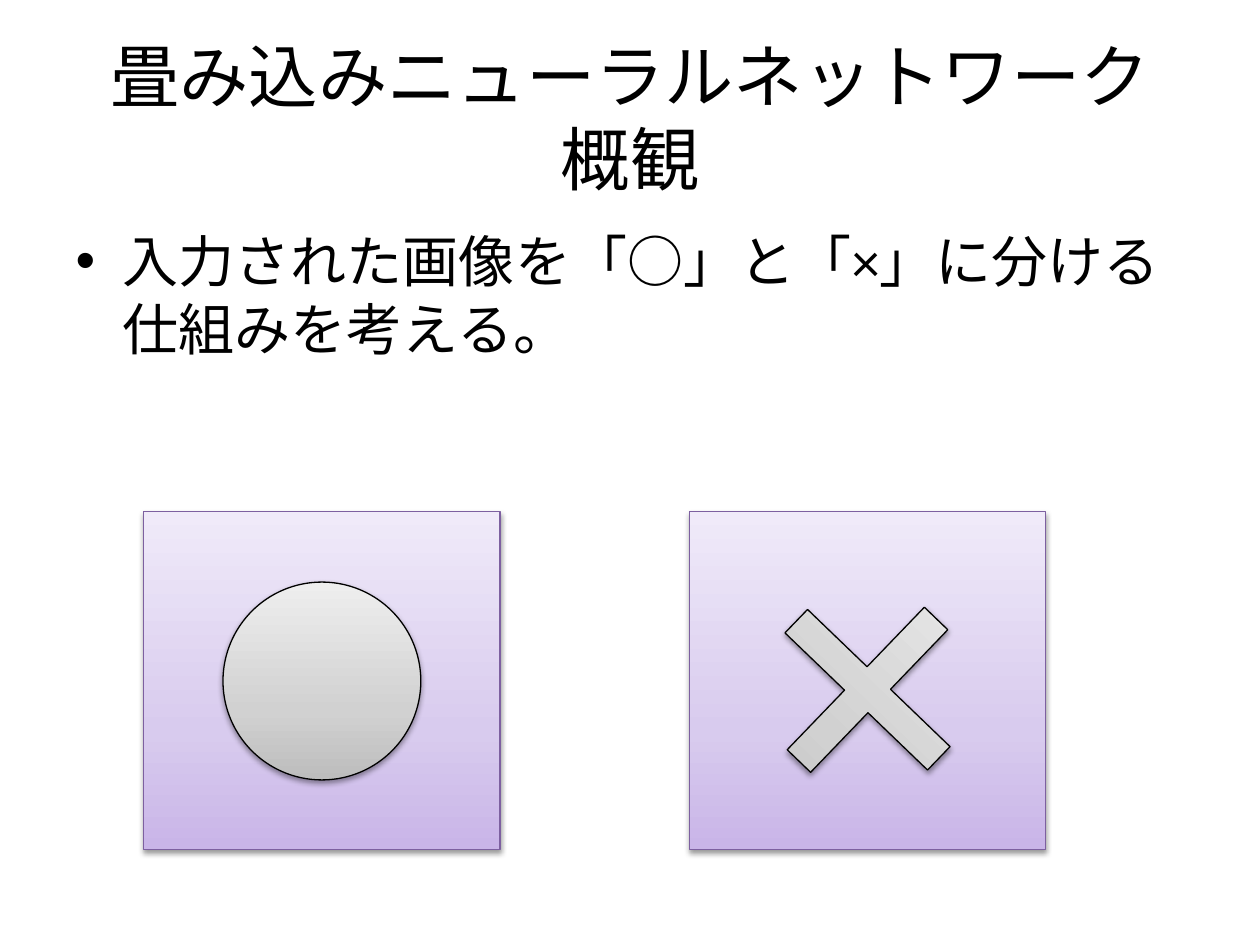
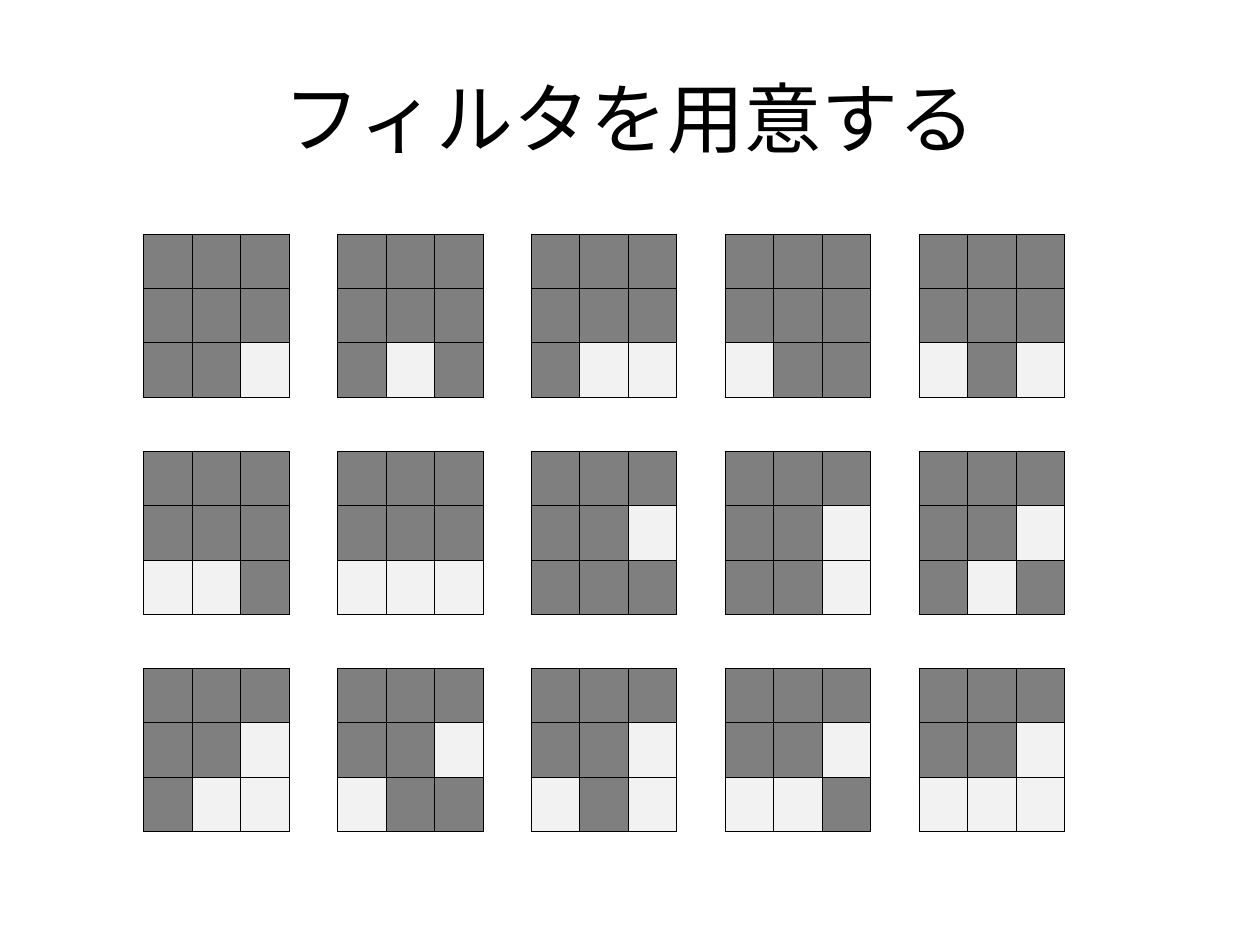
import copy

import pptx
import pptx.dml.color
import pptx.enum.lang
import pptx.enum.shapes
import pptx.enum.text
import pptx.oxml
import pptx.oxml.ns
import pptx.util
from pptx.util import Inches

RGBColor = pptx.dml.color.RGBColor
MSO_SHAPE = pptx.enum.shapes.MSO_SHAPE
qn = pptx.oxml.ns.qn
NS = pptx.oxml.ns.nsdecls("a")

BLACK = RGBColor(0x00, 0x00, 0x00)
PURPLE = RGBColor(0x7D, 0x60, 0xA0)
DARK_CELL = RGBColor(0x7F, 0x7F, 0x7F)
LIGHT_CELL = RGBColor(0xF2, 0xF2, 0xF2)
PURPLE_STOPS = [RGBColor(0xC9, 0xB5, 0xE8), RGBColor(0xD8, 0xCB, 0xEE), RGBColor(0xF0, 0xEA, 0xF9)]
GRAY_STOPS = [RGBColor(0xBD, 0xBD, 0xBD), RGBColor(0xD1, 0xD1, 0xD1), RGBColor(0xEE, 0xEE, 0xEE)]
FONT = "Calibri"
NO_GRID_STYLE = "{2D5ABB26-0587-4C30-8999-92F81FD0307C}"
SHADOW = (f'<a:outerShdw {NS} blurRad="40000" dist="20000" dir="5400000" rotWithShape="0">'
          '<a:srgbClr val="000000"><a:alpha val="38000"/></a:srgbClr></a:outerShdw>')


def fill_placeholder(sp, box, text, size):
    sp.left, sp.top, sp.width, sp.height = [Inches(v) for v in box]
    tf = sp.text_frame
    tf.text = text
    tf.auto_size = pptx.enum.text.MSO_AUTO_SIZE.NONE
    font = tf.paragraphs[0].runs[0].font
    font.name = FONT
    font.size = pptx.util.Pt(size)
    font.color.rgb = BLACK
    font.language_id = pptx.enum.lang.MSO_LANGUAGE_ID.JAPANESE


def add_glossy_shape(slide, kind, box, colors, line_color):
    sp = slide.shapes.add_shape(kind, *[Inches(v) for v in box])
    sp.fill.gradient()
    sp.fill.gradient_angle = 90
    stop_list = sp._element.spPr.find(qn("a:gradFill")).find(qn("a:gsLst"))
    stop_list.insert(1, copy.deepcopy(stop_list[0]))
    for stop, color, position in zip(sp.fill.gradient_stops, colors, (0, 0.35, 1)):
        stop.color.rgb = color
        stop.position = position
    sp.line.color.rgb = line_color
    sp.line.width = pptx.util.Pt(0.75)
    sp.shadow.inherit = False
    sp._element.spPr.find(qn("a:effectLst")).append(pptx.oxml.parse_xml(SHADOW))
    return sp


prs = pptx.Presentation()
prs.slide_width = Inches(10)
prs.slide_height = Inches(7.5)
TITLE_BOX = (0.5, 0.3, 9, 1.25)

s = prs.slides.add_slide(prs.slide_layouts[1])
fill_placeholder(s.shapes.title, TITLE_BOX, "畳み込みニューラルネットワーク概観", 39.6)
fill_placeholder(s.placeholders[1], (0.5, 1.75, 9, 4.95),
                 "入力された画像を「○」と「×」に分ける仕組みを考える。", 32)
for left in (1.14, 5.47):
    add_glossy_shape(s, MSO_SHAPE.RECTANGLE, (left, 4.06, 2.83, 2.68), PURPLE_STOPS, PURPLE)
add_glossy_shape(s, MSO_SHAPE.OVAL, (1.77, 4.62, 1.57, 1.57), GRAY_STOPS, BLACK)
cross = add_glossy_shape(s, MSO_SHAPE.CROSS, (6.1, 4.69, 1.57, 1.57), GRAY_STOPS, BLACK)
cross.adjustments[0] = 0.418
cross.rotation = 43.9

s = prs.slides.add_slide(prs.slide_layouts[5])
fill_placeholder(s.shapes.title, TITLE_BOX, "フィルタを用意する", 44)
ROWS, COLS, FILTERS_PER_ROW = 11, 19, 5
frame = s.shapes.add_table(ROWS, COLS, Inches(1.14), Inches(1.86), Inches(7.31), Inches(4.74))
table = frame.table
table.first_row = False
table.horz_banding = False
table._tbl.tblPr.find(qn("a:tableStyleId")).text = NO_GRID_STYLE

for row in range(ROWS):
    for col in range(COLS):
        cell = table.cell(row, col)
        band, y = divmod(row, 4)
        block, x = divmod(col, 4)
        sides = (["lnL", "lnR"] if y < 3 else []) + (["lnT", "lnB"] if x < 3 else [])
        tcPr = cell._tc.get_or_add_tcPr()
        for side in sides:
            tcPr.append(pptx.oxml.parse_xml(
                f'<a:{side} {NS} w="6350"><a:solidFill><a:srgbClr val="{BLACK}"/></a:solidFill></a:{side}>'))
        if x < 3 and y < 3:
            pattern = band * FILTERS_PER_ROW + block + 1
            lit = pattern >> (8 - 3 * y - x) & 1
            cell.fill.solid()
            cell.fill.fore_color.rgb = LIGHT_CELL if lit else DARK_CELL
        else:
            cell.fill.background()

prs.save("out.pptx")
